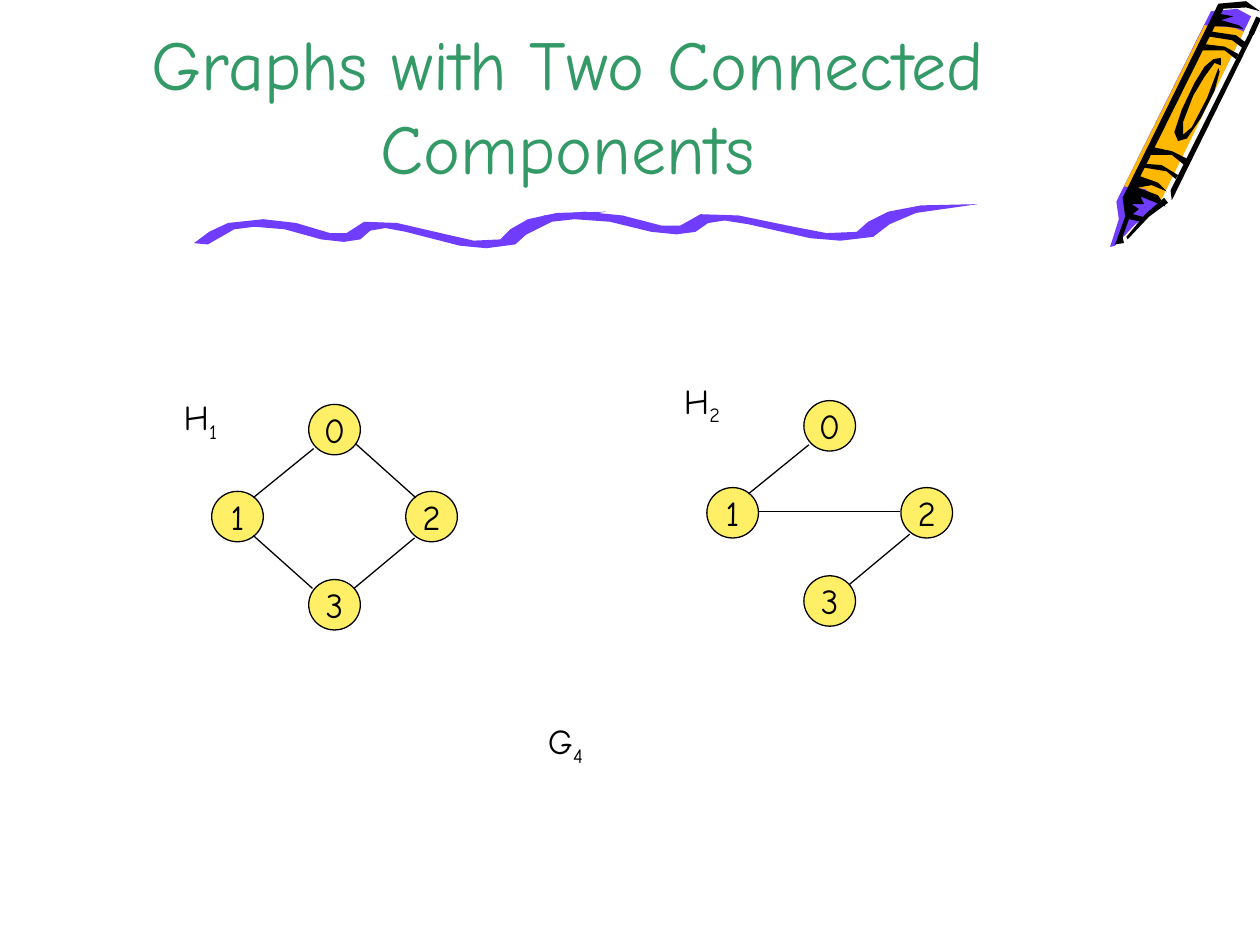
from dataclasses import dataclass

from lxml import etree
from pptx import Presentation
from pptx.dml.color import RGBColor
from pptx.enum.shapes import MSO_CONNECTOR, MSO_SHAPE
from pptx.enum.text import MSO_ANCHOR, MSO_AUTO_SIZE, PP_ALIGN
from pptx.oxml.ns import qn
from pptx.util import Pt

PX = 9144  # 100 px to the inch
STRAIGHT = MSO_CONNECTOR.STRAIGHT
ELLIPSE = MSO_SHAPE.OVAL
CENTER, LEFT = PP_ALIGN.CENTER, PP_ALIGN.LEFT
TOP, MIDDLE, BOTTOM = MSO_ANCHOR.TOP, MSO_ANCHOR.MIDDLE, MSO_ANCHOR.BOTTOM


@dataclass(frozen=True)
class Theme:
    font: str = "Comic Neue"
    title_size: int = 40
    text_size: int = 20
    title: RGBColor = RGBColor(0x33, 0x99, 0x66)
    ink: RGBColor = RGBColor(0, 0, 0)
    node: RGBColor = RGBColor(0xFF, 0xEF, 0x66)
    purple: RGBColor = RGBColor(0x70, 0x3D, 0xFF)
    orange: RGBColor = RGBColor(0xFF, 0xB8, 0x00)


THEME = Theme()


def write(frame, text, sub="", size=THEME.text_size, color=THEME.ink,
          align=LEFT, anchor=TOP, wrap=True):
    """Fill a text frame with one paragraph, ending in an optional subscript."""
    frame.auto_size = MSO_AUTO_SIZE.NONE
    frame.word_wrap = wrap
    frame.vertical_anchor = anchor
    paragraph = frame.paragraphs[0]
    paragraph.alignment = align
    for part in filter(None, (text, sub)):
        run = paragraph.add_run()
        run.text = part
        run.font.name = THEME.font
        run.font.size = Pt(size)
        run.font.color.rgb = color
    if sub:
        run._r.get_or_add_rPr().set("baseline", "-25000")


def connect(shapes, start, end, width=0.75):
    line = shapes.add_connector(STRAIGHT, *(v * PX for v in start + end))
    line.line.color.rgb = THEME.ink
    line.line.width = Pt(width)
    etree.SubElement(line._element.spPr, qn("a:effectLst"))


prs = Presentation()
prs.slide_width, prs.slide_height = 1000 * PX, 750 * PX
slide = prs.slides.add_slide(prs.slide_layouts[5])

# Crayon and underline, as (colour, outline points)
crayon = [
    (THEME.purple, [(993, 13), (917, 166), (901, 178), (885, 195), (881, 196),
                    (888, 174), (886, 160), (961, 9), (982, 7)]),
    (THEME.orange, [(921, 160), (909, 150), (892, 148), (956, 20), (979, 22),
                    (987, 25)]),
    (THEME.ink, [(927, 161), (912, 172), (895, 190), (894, 188), (909, 170),
                 (924, 157)]),
    (THEME.ink, [(987, 23), (973, 21), (961, 21), (968, 11), (979, 13),
                 (969, 16), (983, 20)]),
    (THEME.ink, [(968, 57), (964, 72), (953, 94), (942, 110), (935, 112),
                 (932, 105), (938, 87), (948, 66), (956, 53), (963, 47),
                 (969, 46), (969, 52), (964, 50), (956, 61), (947, 76),
                 (939, 97), (939, 107), (946, 101), (958, 78), (967, 54)]),
    (THEME.ink, [(997, 23), (930, 159), (929, 151), (993, 23)]),
    (THEME.ink, [(925, 164), (919, 155), (903, 149), (914, 147), (926, 152),
                 (919, 145), (905, 140), (971, 7), (989, 6), (1000, 9),
                 (989, 1), (967, 3), (891, 157), (893, 172), (885, 194),
                 (892, 193), (891, 188), (896, 174), (905, 176), (910, 173),
                 (899, 170), (904, 166), (898, 162), (908, 162), (905, 156)]),
    (THEME.ink, [(933, 142), (926, 136), (908, 133), (909, 130), (922, 131),
                 (935, 139)]),
    (THEME.ink, [(940, 131), (930, 123), (913, 123), (916, 117), (930, 120),
                 (942, 126)]),
    (THEME.ink, [(981, 47), (972, 40), (953, 40), (956, 35), (972, 37),
                 (983, 43)]),
    (THEME.ink, [(986, 38), (978, 32), (959, 29), (961, 25), (981, 28),
                 (989, 34)]),
]
wave = [(165, 194), (186, 182), (202, 180), (226, 182), (255, 190), (273, 192),
        (286, 190), (294, 183), (306, 181), (322, 184), (365, 195), (386, 197),
        (409, 194), (420, 184), (438, 175), (481, 168), (442, 169), (419, 174),
        (405, 182), (397, 190), (376, 191), (354, 186), (315, 177), (289, 176),
        (275, 185), (262, 185), (235, 177), (209, 174), (181, 177), (166, 184),
        (154, 193)]
wave_left, next_left, stretch, rise = 154, 401, 1.147, 6
next_wave = [(round(next_left + (x - wave_left) * stretch), y - rise)
             for x, y in wave]
underline = [(THEME.purple, wave), (THEME.purple, next_wave)]

for drawing in (crayon, underline):
    group = slide.shapes.add_group_shape()
    for color, points in drawing:
        builder = group.shapes.build_freeform(*points[0], scale=PX)
        builder.add_line_segments(points[1:], close=True)
        outline = builder.convert_to_shape()
        outline.fill.solid()
        outline.fill.fore_color.rgb = color
        outline.line.fill.background()
        outline.shadow.inherit = False
connect(slide.shapes, (999, 14), (993, 27), width=3)

title = slide.shapes.title
title.left, title.top, title.width, title.height = 75 * PX, 0, 751 * PX, 155 * PX
write(title.text_frame, "Graphs with Two Connected Components",
      size=THEME.title_size, color=THEME.title, align=CENTER, anchor=BOTTOM)

# Both graphs share node and edge places, counted from the graph's corner
node_width, node_height = 41, 40
nodes = {"0": (77, 0), "3": (77, 139), "1": (0, 69), "2": (154, 69)}
edges = {
    "0-1": ((81, 35), (33, 74)),
    "0-2": ((114, 31), (162, 74)),
    "1-2": ((41, 88), (153, 88)),
    "1-3": ((33, 104), (80, 146)),
    "2-3": ((161, 106), (113, 146)),
}
graphs = [
    ((168, 321), ("2-3", "0-1", "1-3", "0-2")),
    ((561, 318), ("1-2", "2-3", "0-1")),
]
for (left, top), graph_edges in graphs:
    for number, (x, y) in nodes.items():
        node = slide.shapes.add_shape(ELLIPSE, (left + x) * PX, (top + y) * PX,
                                      node_width * PX, node_height * PX)
        node.fill.solid()
        node.fill.fore_color.rgb = THEME.node
        node.line.color.rgb = THEME.ink
        node.line.width = Pt(0.75)
        node.shadow.inherit = False
        write(node.text_frame, number, align=CENTER, anchor=MIDDLE, wrap=False)
    for edge in graph_edges:
        connect(slide.shapes, *((left + x, top + y) for x, y in edges[edge]))

for letter, index, left, top in (("G", "4", 425, 566), ("H", "1", 136, 309),
                                 ("H", "2", 533, 296)):
    label = slide.shapes.add_textbox(left * PX, top * PX, 68 * PX, 48 * PX)
    write(label.text_frame, letter, sub=index)

prs.save("out.pptx")
